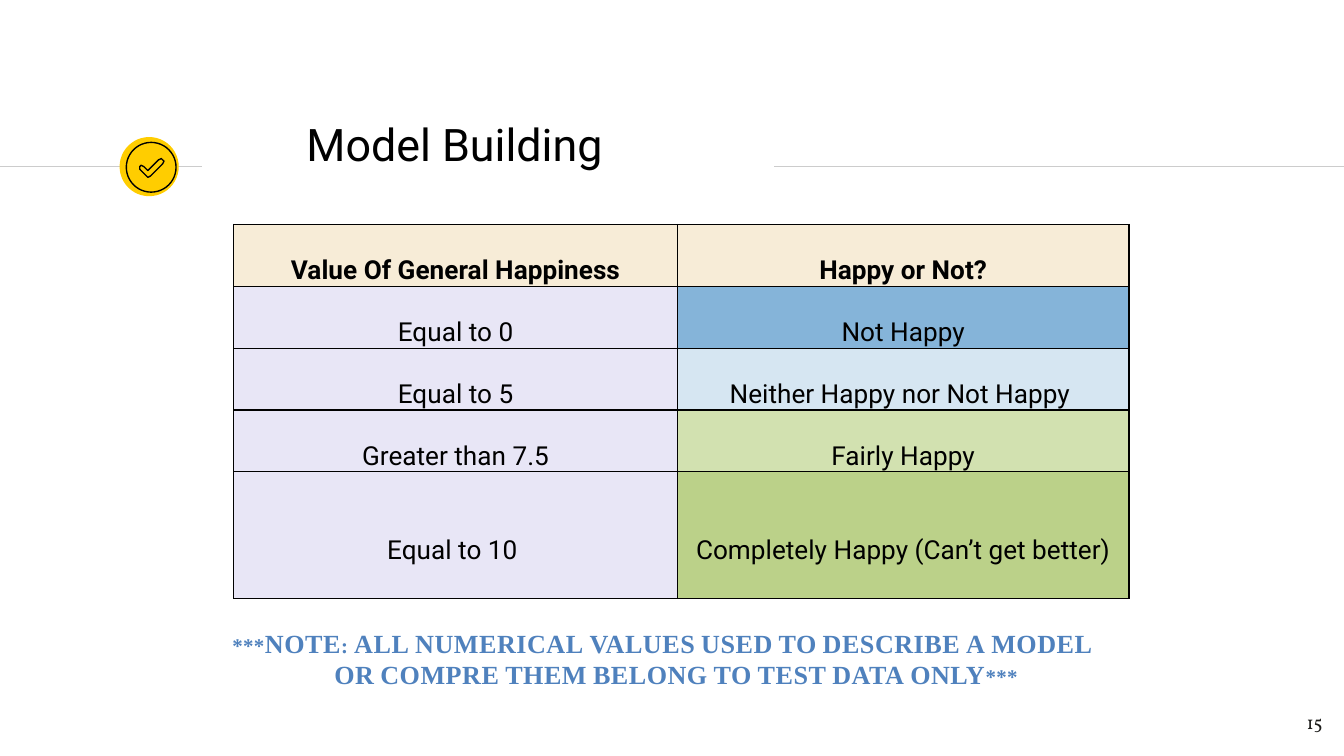
"""Build the Model Building slide with its happiness scale table."""
import pptx
import pptx.dml.color
import pptx.enum.text
import pptx.oxml
import pptx.oxml.ns
import pptx.util

Inches, Pt = pptx.util.Inches, pptx.util.Pt
ALIGN, ANCHOR = pptx.enum.text.PP_ALIGN, pptx.enum.text.MSO_ANCHOR

TITLE = "Model Building"
NUMBER = "15"
NOTE = [
    ("***NOTE: ALL NUMERICAL VALUES USED TO DESCRIBE A MODEL", 0),
    ("OR COMPRE THEM BELONG TO TEST DATA ONLY***", 0.76),
]
ROWS = [
    ("Value Of General Happiness", "Happy or Not?", "F7ECD7", "F7ECD7"),
    ("Equal to 0", "Not Happy", "E8E6F6", "85B4D9"),
    ("Equal to 5", "Neither Happy nor Not Happy ", "E8E6F6", "D6E6F2"),
    ("Greater than 7.5", "Fairly Happy", "E8E6F6", "D2E1B0"),
    ("Equal to 10 ", "Completely Happy (Can’t get better)", "E8E6F6", "BBD189"),
]
WIDTH = 10
HEIGHT = WIDTH * 9 / 16
COL_WIDTHS = [3.3, 3.36]
ROW_HEIGHTS = [0.44] * 4 + [0.94]
RULES = [(0, 1.5), (5.76, WIDTH)]
RULE_Y = 1.24
CIRCLES = [(0.89, 1.02, 0.44, "FFCD00", None), (0.94, 1.06, 0.37, None, "000000")]
CHECK = [
    (1.1, 1.32), (1.12, 1.31), (1.21, 1.22), (1.22, 1.2), (1.21, 1.19), (1.2, 1.18),
    (1.18, 1.19), (1.1, 1.27), (1.07, 1.24), (1.05, 1.23), (1.04, 1.24), (1.04, 1.26),
    (1.09, 1.31),
]

TITLE_FONT = dict(size=Pt(24), name="Roboto", bold=False)
CELL_FONT = dict(size=Pt(14), name="Roboto")
NOTE_FONT = dict(size=Pt(14), name="Times New Roman", bold=True)
NUMBER_FONT = dict(size=Pt(10), name="Vollkorn")
CELL_PARAGRAPH = dict(alignment=ALIGN.CENTER, line_spacing=2.0, space_after=Pt(10))
CELL_BOX = dict(vertical_anchor=ANCHOR.MIDDLE, margin_left=Inches(0.07),
                margin_right=Inches(0.07), margin_top=0, margin_bottom=0)
FRAME = dict(word_wrap=True, auto_size=pptx.enum.text.MSO_AUTO_SIZE.NONE,
             vertical_anchor=ANCHOR.TOP)
INSETS = {f"margin_{side}": Inches(0.1) for side in ("left", "right", "top", "bottom")}


def rgb(value):
    return pptx.dml.color.RGBColor.from_string(value)


def apply(target, values):
    for name, value in values.items():
        setattr(target, name, value)


def write(p, text, font, color, **paragraph):
    apply(p, paragraph)
    r = p.add_run()
    r.text = text
    apply(r.font, font)
    r.font.color.rgb = rgb(color)
    return r


def paint(sp, fill, line):
    sp.shadow.inherit = False
    for part, color in ((sp.fill, fill), (sp.line.fill, line)):
        if color:
            part.solid()
            part.fore_color.rgb = rgb(color)
        else:
            part.background()
    if line:
        sp.line.width = Pt(0.75)


def border(cell):
    tcPr = cell._tc.get_or_add_tcPr()
    for i, side in enumerate(("lnL", "lnR", "lnT", "lnB")):
        tcPr.insert(i, pptx.oxml.parse_xml(
            f'<a:{side} {pptx.oxml.ns.nsdecls("a")} w="9525"><a:solidFill>'
            f'<a:srgbClr val="000000"/></a:solidFill></a:{side}>'))


def add_rules(s):
    for start, end in RULES:
        line = s.shapes.add_connector(1, Inches(start), Inches(RULE_Y), Inches(end), Inches(RULE_Y))
        line.line.color.rgb = rgb("CCCCCC")
        line.line.width = Pt(0.75)
        line._element.spPr.append(pptx.oxml.parse_xml(
            f'<a:effectLst {pptx.oxml.ns.nsdecls("a")}/>'))


def add_badge(s):
    for x, y, size, fill, line in CIRCLES:
        sp = s.shapes.add_shape(9, Inches(x), Inches(y), Inches(size), Inches(size))
        paint(sp, fill, line)
    points = [(Inches(x), Inches(y)) for x, y in CHECK]
    builder = s.shapes.build_freeform(*points[0])
    builder.add_line_segments(points[1:], close=True)
    paint(builder.convert_to_shape(), None, "000000")


def add_scale(s):
    table = s.shapes.add_table(len(ROWS), len(COL_WIDTHS), Inches(1.74), Inches(1.67),
                               Inches(sum(COL_WIDTHS)), Inches(sum(ROW_HEIGHTS))).table
    for col, width in zip(table.columns, COL_WIDTHS):
        col.width = Inches(width)
    for i, (row, height) in enumerate(zip(ROWS, ROW_HEIGHTS)):
        table.rows[i].height = Inches(height)
        for j, (text, fill) in enumerate(zip(row[:2], row[2:])):
            cell = table.cell(i, j)
            apply(cell, CELL_BOX)
            cell.fill.solid()
            cell.fill.fore_color.rgb = rgb(fill)
            border(cell)
            write(cell.text_frame.paragraphs[0], text, dict(CELL_FONT, bold=i == 0),
                  "000000", **CELL_PARAGRAPH)


def add_box(s, left, top, width, height):
    tf = s.shapes.add_textbox(Inches(left), Inches(top), Inches(width), Inches(height)).text_frame
    apply(tf, FRAME)
    return tf


def add_title(s):
    sp = s.shapes.title
    apply(sp, dict(left=Inches(2.1), top=Inches(0.77), width=Inches(5.4), height=Inches(0.9)))
    apply(sp.text_frame, FRAME | INSETS)
    p = sp.text_frame.paragraphs[0]
    write(p, TITLE, TITLE_FONT, "000000", alignment=ALIGN.LEFT, space_before=Pt(6))
    p._p.get_or_add_pPr().set("marL", str(Inches(0.08)))


def add_note(s):
    tf = add_box(s, 1.63, 4.62, 6.89, 0.57)
    for i, (text, indent) in enumerate(NOTE):
        p = tf.add_paragraph() if i else tf.paragraphs[0]
        r = write(p, text, NOTE_FONT, "4F81BD")
        p._p.get_or_add_pPr().set("marL", str(Inches(indent)))
        for name, value in dict(cap="small", spc="25").items():
            r.font._element.set(name, value)


def add_number(s):
    tf = add_box(s, 9.34, 5.19, 0.6, 0.43)
    apply(tf, INSETS)
    write(tf.paragraphs[0], NUMBER, NUMBER_FONT, "1D1D1B", alignment=ALIGN.RIGHT)


def main():
    prs = pptx.Presentation()
    prs.slide_width, prs.slide_height = Inches(WIDTH), Inches(HEIGHT)
    s = prs.slides.add_slide(prs.slide_layouts[5])
    for add in (add_rules, add_badge, add_number, add_scale, add_title, add_note):
        add(s)
    prs.save("out.pptx")


if __name__ == "__main__":
    main()
